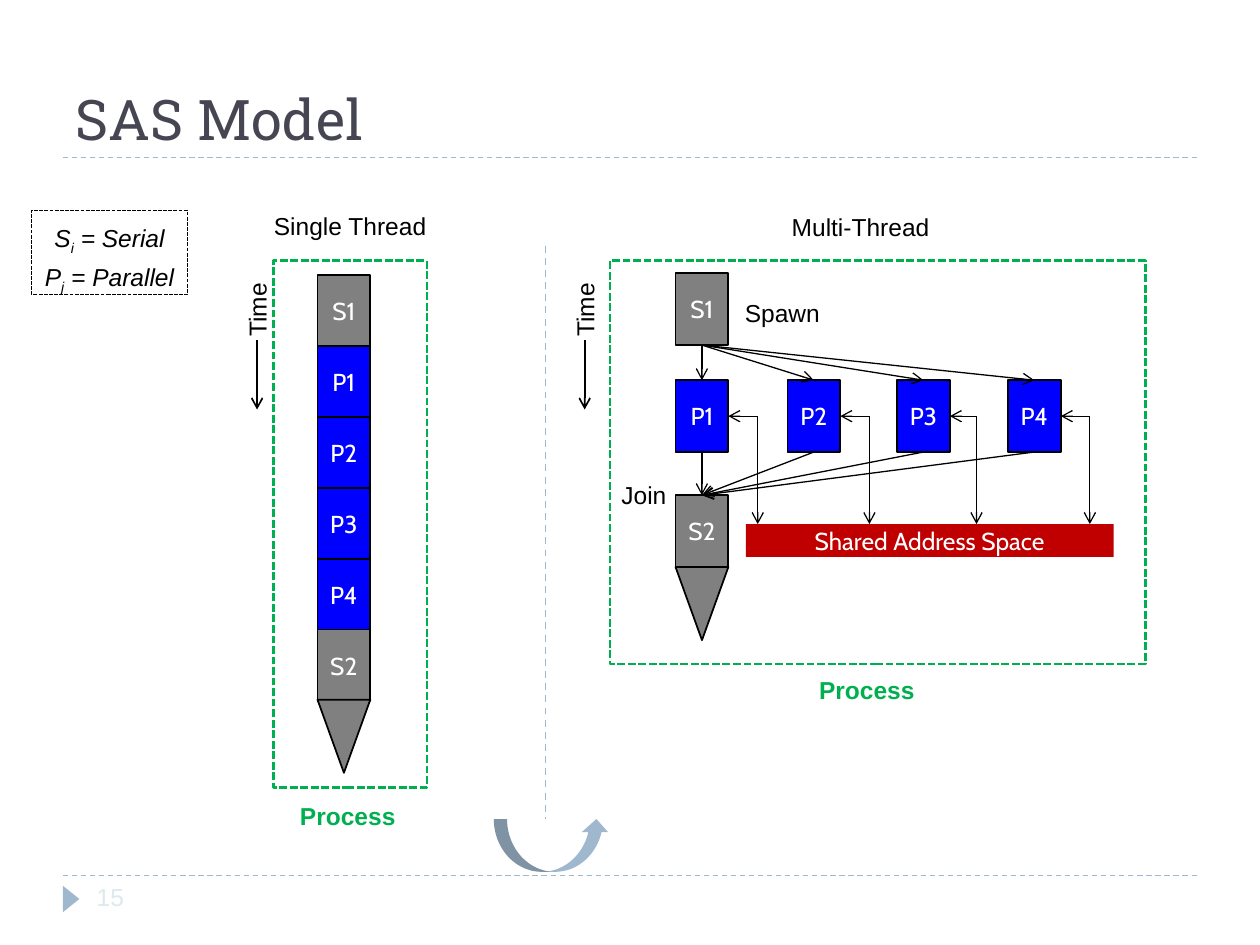
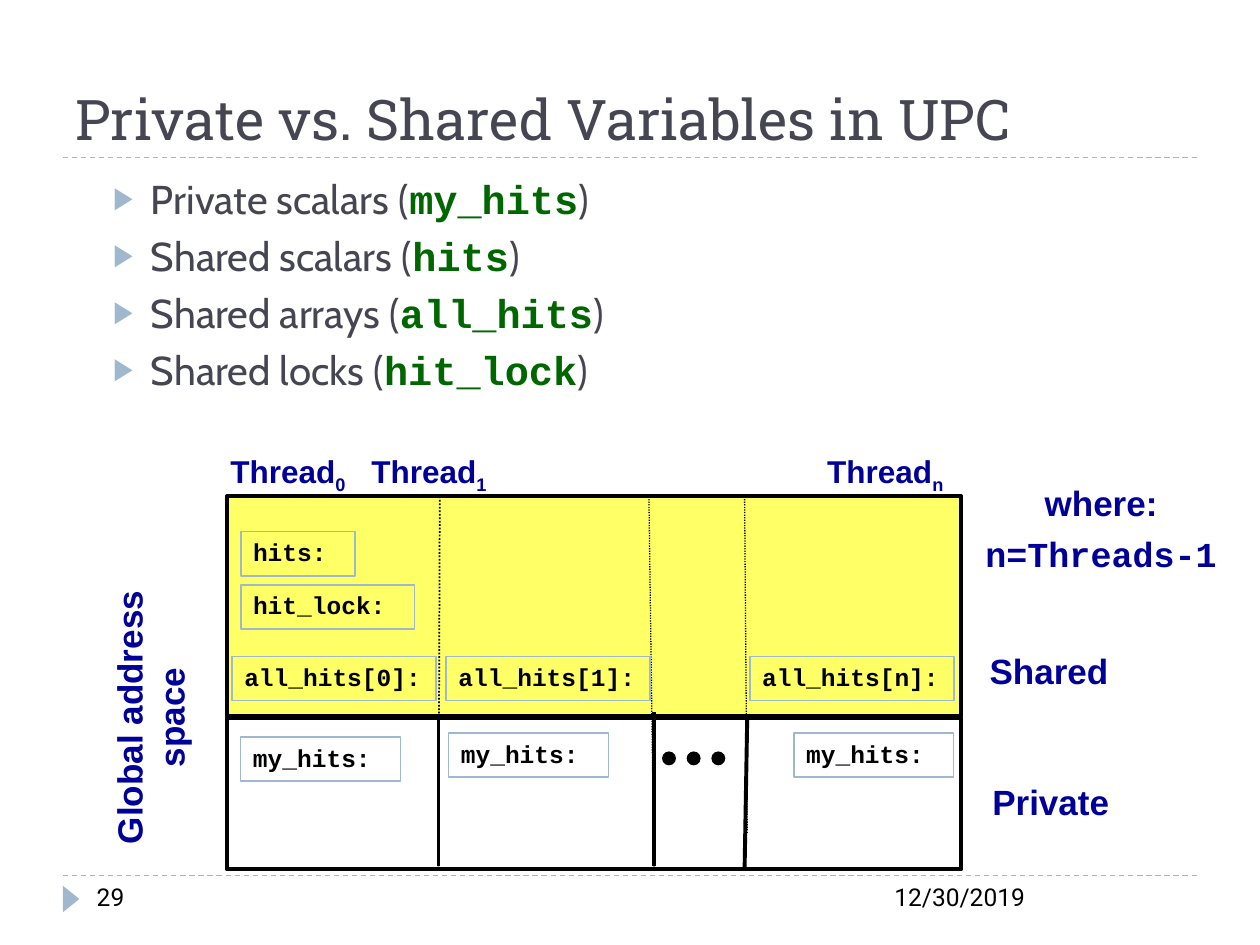
from lxml import etree
from pptx import Presentation
from pptx.dml.color import RGBColor
from pptx.enum.dml import MSO_LINE
from pptx.enum.shapes import MSO_CONNECTOR, MSO_SHAPE
from pptx.enum.text import MSO_ANCHOR, PP_ALIGN
from pptx.oxml.ns import qn
from pptx.util import Pt

RECT = MSO_SHAPE.RECTANGLE
TRIANGLE = MSO_SHAPE.ISOSCELES_TRIANGLE
OVAL = MSO_SHAPE.OVAL
CURVED_ARROW = MSO_SHAPE.CURVED_UP_ARROW
STRAIGHT = MSO_CONNECTOR.STRAIGHT
DASH, SQUARE_DOT, ROUND_DOT = MSO_LINE.DASH, MSO_LINE.SQUARE_DOT, MSO_LINE.ROUND_DOT
LEFT, CENTER = PP_ALIGN.LEFT, PP_ALIGN.CENTER
TOP, MIDDLE, BOTTOM = MSO_ANCHOR.TOP, MSO_ANCHOR.MIDDLE, MSO_ANCHOR.BOTTOM

BLACK = RGBColor(0x00, 0x00, 0x00)
WHITE = RGBColor(0xFF, 0xFF, 0xFF)
ACCENT = RGBColor(0x9F, 0xB8, 0xCD)
INK = RGBColor(0x46, 0x46, 0x53)
PALE = RGBColor(0xDD, 0xE9, 0xEC)
GRAY = RGBColor(0x80, 0x80, 0x80)
BLUE = RGBColor(0x00, 0x00, 0xFF)
RED = RGBColor(0xC0, 0x00, 0x00)
GREEN = RGBColor(0x00, 0xB0, 0x50)
NAVY = RGBColor(0x00, 0x00, 0x99)
CODE_GREEN = RGBColor(0x00, 0x66, 0x00)
YELLOW = RGBColor(0xFF, 0xFF, 0x66)

TITLE = {"size": Pt(32), "name": "Roboto Slab", "color": INK}
LABEL = {"size": Pt(14), "name": "Arial", "color": BLACK}
PROCESS = {**LABEL, "bold": True, "color": GREEN}
BLOCK = {"size": Pt(14), "name": "Cabin", "color": WHITE}
FOOTER = {"size": Pt(14), "name": "Roboto", "color": BLACK}
BODY = {"size": Pt(23), "name": "Cabin", "color": INK}
CODE = {"size": Pt(14), "name": "Courier New", "bold": True, "color": BLACK}
SIDE = {"size": Pt(20), "name": "Arial", "bold": True, "color": NAVY}
THREAD = {**SIDE, "size": Pt(18)}
SUB = {"baseline": "-25000"}
INSET = (7.2, 3.6, 7.2, 3.6)


def box(s, kind, pos, paras=(), fmt=LABEL, fill=None, line=None, width=1, dash=None,
        rot=0, align=CENTER, anchor=MIDDLE, margins=(0, 0, 0, 0), wrap=False, gap=0):
    x, y, w, h = map(Pt, pos)
    if kind is None:
        sp = s.shapes.add_textbox(x, y, w, h)
    else:
        sp = s.shapes.add_shape(kind, x, y, w, h)
        sp.shadow.inherit = False
        for part, color in ((sp.fill, fill), (sp.line.fill, line)):
            if color is None:
                part.background()
            else:
                part.solid()
                part.fore_color.rgb = color
        if line is not None:
            sp.line.width = Pt(width)
            sp.line.dash_style = dash
    sp.rotation = rot
    tf = sp.text_frame
    tf.word_wrap = wrap
    tf.vertical_anchor = anchor
    for side, value in zip(("left", "top", "right", "bottom"), margins):
        setattr(tf, f"margin_{side}", Pt(value))
    for i, runs in enumerate(paras):
        p = tf.add_paragraph() if i else tf.paragraphs[0]
        p.alignment = align
        if i:
            p.space_before = Pt(gap)
        for text, changes in runs:
            r = p.add_run()
            r.text = text
            for key, value in {**fmt, **changes}.items():
                if key == "color":
                    r.font.color.rgb = value
                elif key == "baseline":
                    r._r.get_or_add_rPr().set(key, value)
                else:
                    setattr(r.font, key, value)
    return sp


def line(s, x1, y1, x2, y2, color=BLACK, width=0.75, dash=None, arrow=False):
    c = s.shapes.add_connector(STRAIGHT, Pt(x1), Pt(y1), Pt(x2), Pt(y2))
    c.line.color.rgb = color
    c.line.width = Pt(width)
    c.line.dash_style = dash
    if arrow:
        etree.SubElement(c.line._get_or_add_ln(), qn("a:tailEnd"), type="arrow")
    etree.SubElement(c._element.spPr, qn("a:effectLst"))
    return c


prs = Presentation()
prs.slide_width, prs.slide_height = Pt(720), Pt(540)

slides = []
for title, number, number_fmt in (
    ("SAS Model", "15", {**LABEL, "color": PALE}),
    ("Private vs. Shared Variables in UPC", "29", FOOTER),
):
    s = prs.slides.add_slide(prs.slide_layouts[6])
    for y in (500.4, 90):
        line(s, 36, y, 684, y, ACCENT, 0.75, DASH)
    box(s, TRIANGLE, (33.1, 509, 15.1, 9.4), fill=ACCENT, rot=90)
    box(s, None, (36, 12, 648, 78), [[(title, {})]], TITLE, align=LEFT,
        anchor=BOTTOM, margins=INSET, wrap=True)
    box(s, None, (48.2, 500.4, 156, 28.8), [[(number, {})]], number_fmt, align=LEFT,
        anchor=TOP, margins=INSET, wrap=True)
    slides.append(s)

s = slides[0]
BLOCK_W, BLOCK_H = 30.2, 41
SINGLE_X, MULTI_X = 181.4, 386

for i, name in enumerate(("S1", "P1", "P2", "P3", "P4", "S2")):
    box(s, RECT, (SINGLE_X, 157.3 + 40.5 * i, BLOCK_W, BLOCK_H), [[(name, {})]], BLOCK,
        fill=GRAY if name[0] == "S" else BLUE, line=BLACK)

box(s, RECT, (18, 120.2, 89.3, 48.2),
    [[("S", {}), ("i", SUB), (" = Serial", {})],
     [("P", {}), ("j", SUB), (" = Parallel", {})]],
    {**LABEL, "italic": True}, line=BLACK, width=0.75, dash=SQUARE_DOT,
    anchor=TOP, margins=(7.2, 7.2, 7.2, 7.2), gap=3)

for x in (146.9, 334.1):
    line(s, x, 194.4, x, 234, width=1, arrow=True)
    box(s, None, (x - 15.6, 168.5, 31, 17.3), [[("Time", {})]], rot=270)

spawner, joiner = [
    box(s, RECT, (MULTI_X, y, BLOCK_W, BLOCK_H), [[(name, {})]], BLOCK, fill=GRAY, line=BLACK)
    for name, y in (("S1", 156.2), ("S2", 283))
]
for x, y in ((SINGLE_X, 399.8), (MULTI_X, 324)):
    box(s, TRIANGLE, (x, y, BLOCK_W, 41.8), fill=GRAY, line=BLACK, rot=180)

box(s, RECT, (426.2, 299.5, 210.2, 18.7), [[("Shared Address Space", {})]], BLOCK, fill=RED)

for name, x, drop in (("P1", MULTI_X, 433), ("P2", 450, 496.8),
                      ("P3", 512.6, 558), ("P4", 576, 622.8)):
    worker = box(s, RECT, (x, 217.3, BLOCK_W, BLOCK_H), [[(name, {})]], BLOCK,
                 fill=BLUE, line=BLACK)
    mid = x + BLOCK_W / 2
    hub = MULTI_X + BLOCK_W / 2
    spawn = line(s, hub, 197.2, mid, 217.3, arrow=True)
    spawn.begin_connect(spawner, 2)
    spawn.end_connect(worker, 0)
    join = line(s, mid, 258.3, hub, 283, arrow=True)
    join.begin_connect(worker, 2)
    join.end_connect(joiner, 0)
    access = line(s, drop, 237.8, x + BLOCK_W, 237.8, arrow=True)
    access.end_connect(worker, 3)
    line(s, drop, 237.8, drop, 299.5, arrow=True)

line(s, 311.8, 140.4, 311.8, 468, ACCENT, 1, DASH)
box(s, CURVED_ARROW, (282.2, 468, 66.2, 30.2), fill=ACCENT)

for text, x, y, w, fmt in (
    ("Single Thread", 156.2, 120.2, 87.8, LABEL),
    ("Multi-Thread", 452.2, 121, 79.2, LABEL),
    ("Spawn", 425.5, 169.9, 43.2, LABEL),
    ("Join", 355, 274.3, 25.9, LABEL),
    ("Process", 171.4, 457.2, 54.7, PROCESS),
    ("Process", 468, 385.2, 54.7, PROCESS),
):
    box(s, None, (x, y, w, 17.3), [[(text, {})]], fmt)

for pos in ((156.2, 149, 87.8, 301), (348.5, 149, 306, 230.4)):
    box(s, RECT, pos, line=GREEN, width=1.5, dash=SQUARE_DOT)

s = slides[1]
box(s, None, (504, 500.4, 180, 28.8), [[("12/30/2019", {})]], FOOTER, align=LEFT,
    anchor=TOP, margins=INSET, wrap=True)

code_run = {"name": "Courier New", "color": CODE_GREEN, "bold": True}
topics = (("Private scalars", "my_hits"), ("Shared scalars", "hits"),
          ("Shared arrays", "all_hits"), ("Shared locks", "hit_lock"))
sp = box(s, None, (36, 95.8, 648, 388.8),
         [[(f"{topic} (", {}), (code, code_run), (")", {})] for topic, code in topics],
         BODY, align=LEFT, anchor=TOP, margins=INSET, wrap=True, gap=5)
for p in sp.text_frame.paragraphs:
    pPr = p._p.get_or_add_pPr()
    pPr.set("marL", str(Pt(43.2)))
    pPr.set("indent", str(-Pt(21.6)))
    color = etree.SubElement(pPr, qn("a:buClr"))
    etree.SubElement(color, qn("a:srgbClr"), val=str(ACCENT))
    etree.SubElement(pPr, qn("a:buSzPct"), val="76000")
    etree.SubElement(pPr, qn("a:buFont"), typeface="Arial")
    etree.SubElement(pPr, qn("a:buChar"), char="▶")

box(s, RECT, (129.6, 283.7, 419.8, 125.3), fill=YELLOW, line=BLACK, width=2.25)
box(s, RECT, (129.6, 410.4, 419.8, 86.4), line=BLACK, width=2.25)
for x1, x2, bottom, width in ((251.3, 250.6, 497.5, 1), (370.8, 373.7, 496.8, 0.75),
                              (425.5, 427, 476, 0.75)):
    line(s, x1, 283.7, x2, bottom, width=width, dash=ROUND_DOT)
for x1, y1, x2, y2 in ((250.6, 408.2, 250.6, 494.6), (373.7, 406.8, 373.7, 494.6),
                       (427, 410.4, 425.5, 496.8)):
    line(s, x1, y1, x2, y2, width=2.25)

for i in range(3):
    box(s, OVAL, (378.7 + 14.1 * i, 429.8, 7.2, 7.2), fill=BLACK, line=BLACK, width=0.75)

for text, x, y, w in (
    ("hits:", 137.5, 303.8, 65.5),
    ("hit_lock:", 137.5, 334.1, 99.4),
    ("all_hits[0]:", 132.5, 375.1, 116.6),
    ("all_hits[1]:", 254.9, 375.1, 116.6),
    ("all_hits[n]:", 428.4, 375.1, 116.6),
    ("my_hits:", 137.5, 421.2, 91.4),
    ("my_hits:", 256.3, 419, 91.4),
    ("my_hits:", 453.6, 419, 91.4),
):
    box(s, RECT, (x, y, w, 25.2), [[(text, {})]], CODE, line=ACCENT, align=LEFT,
        margins=(7.2, 2.6, 0, 4.6), wrap=True)

sp = box(s, None, (124.6, 254.9, 425.5, 28.8),
         [[("Thread", {}), ("0", SUB), ("\tThread", {}), ("1", SUB),
           ("\tThread", {}), ("n", SUB)]],
         THREAD, align=LEFT, anchor=TOP, margins=INSET, wrap=True)
tabs = etree.SubElement(sp.text_frame.paragraphs[0]._p.get_or_add_pPr(), qn("a:tabLst"))
for stop in (80.5, 341):
    etree.SubElement(tabs, qn("a:tab"), pos=str(Pt(stop)), algn="l")

box(s, None, (4.3, 382.3, 162.7, 55.4), [[("Global address space", {})]], SIDE,
    rot=270, anchor=TOP, margins=INSET, wrap=True)
for paras, pos in (
    ([[("Shared", {})]], (560.2, 365, 78.5, 36)),
    ([[("Private", {})]], (562.3, 440, 76.3, 36)),
    ([[("where:", {})], [("n=Threads-1", {"name": "Courier New"})]],
     (560.3, 275.7, 137.9, 52)),
):
    box(s, None, pos, paras, SIDE, gap=5)

prs.save("out.pptx")
